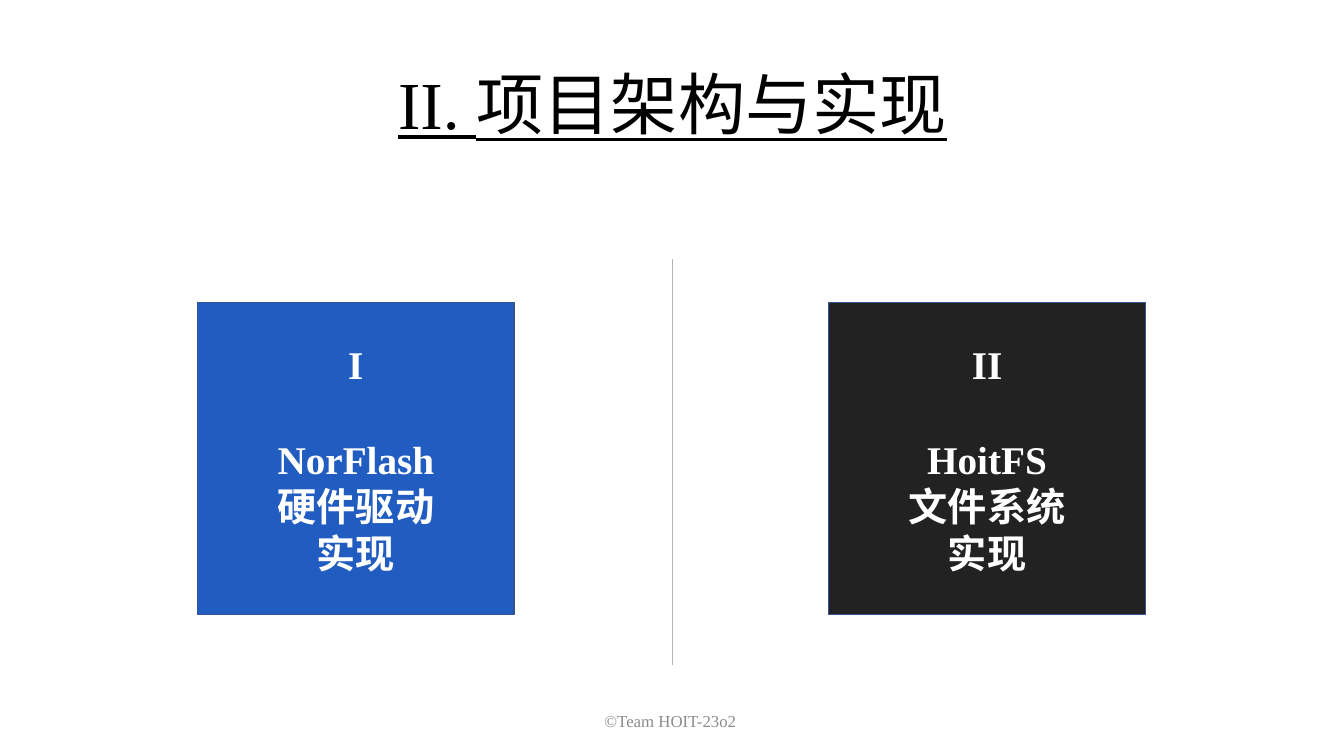
from pptx import Presentation, util as u
from pptx.dml.color import RGBColor
from pptx.enum import shapes, text
from pptx.oxml.ns import qn
from lxml import etree

W, H = 13.33, 7.5
FONT = "Times New Roman"
COLORS = {"ink": "000000", "white": "FFFFFF", "blue": "215CC1", "dark": "222222",
          "edge": "325491", "rule": "AFB4B9", "footer": "8C8C8C"}
CARD_W, CARD_H, CARD_TOP = 3.14, 3.1, 3.0
CARDS = [(1.96, "blue", ["I", "NorFlash", "硬件驱动", "实现"]),
         (8.22, "dark", ["II", "HoitFS", "文件系统", "实现"])]


def color(name):
    return RGBColor.from_string(COLORS[name])


def inches(*box):
    return [u.Inches(v) for v in box]


def write(p, content, size, ink, bold=False, underline=False):
    p.alignment = text.PP_ALIGN.CENTER
    r = p.add_run()
    r.text = content
    r.font.name, r.font.size = FONT, u.Pt(size)
    r.font.bold, r.font.underline = bold, underline
    r.font.color.rgb = color(ink)


def add_title(s, box):
    sp = s.shapes.title
    sp.left, sp.top, sp.width, sp.height = inches(*box)
    tf = sp.text_frame
    tf.vertical_anchor = text.MSO_ANCHOR.TOP
    tf.auto_size = text.MSO_AUTO_SIZE.SHAPE_TO_FIT_TEXT
    write(tf.paragraphs[0], "II. 项目架构与实现", 48, "ink", underline=True)


def add_card(s, box, fill, lines):
    sp = s.shapes.add_shape(shapes.MSO_SHAPE.RECTANGLE, *inches(*box))
    sp.shadow.inherit = False
    sp.fill.solid()
    sp.fill.fore_color.rgb = color(fill)
    sp.line.color.rgb = color("edge")
    sp.line.width = u.Pt(1)
    tf = sp.text_frame
    tf.word_wrap = True
    tf.vertical_anchor = text.MSO_ANCHOR.MIDDLE
    for i, line in enumerate(lines):
        p = tf.add_paragraph() if i else tf.paragraphs[0]
        if i == 1:
            p.space_before = u.Pt(34)
        write(p, line, 28, "white", bold=True)


def add_divider(s, x, top, bottom):
    line = s.shapes.add_connector(shapes.MSO_CONNECTOR.STRAIGHT, *inches(x, top, x, bottom))
    line.line.color.rgb = color("rule")
    line.line.width = u.Pt(0.5)
    etree.SubElement(line._element.spPr, qn("a:effectLst"))


def add_footer(s, box):
    tf = s.shapes.add_textbox(*inches(*box)).text_frame
    tf.word_wrap = True
    tf.vertical_anchor = text.MSO_ANCHOR.MIDDLE
    write(tf.paragraphs[0], "©Team HOIT-23o2 ", 12, "footer")


def main():
    prs = Presentation()
    prs.slide_width, prs.slide_height = inches(W, H)
    s = prs.slides.add_slide(prs.slide_layouts[5])
    add_footer(s, (4.42, 6.95, 4.5, 0.4))
    add_title(s, (3.28, 0.57, 6.78, 0.91))
    for left, fill, lines in CARDS:
        add_card(s, (left, CARD_TOP, CARD_W, CARD_H), fill, lines)
    add_divider(s, W / 2, 2.57, 6.6)
    prs.save("out.pptx")


if __name__ == "__main__":
    main()
